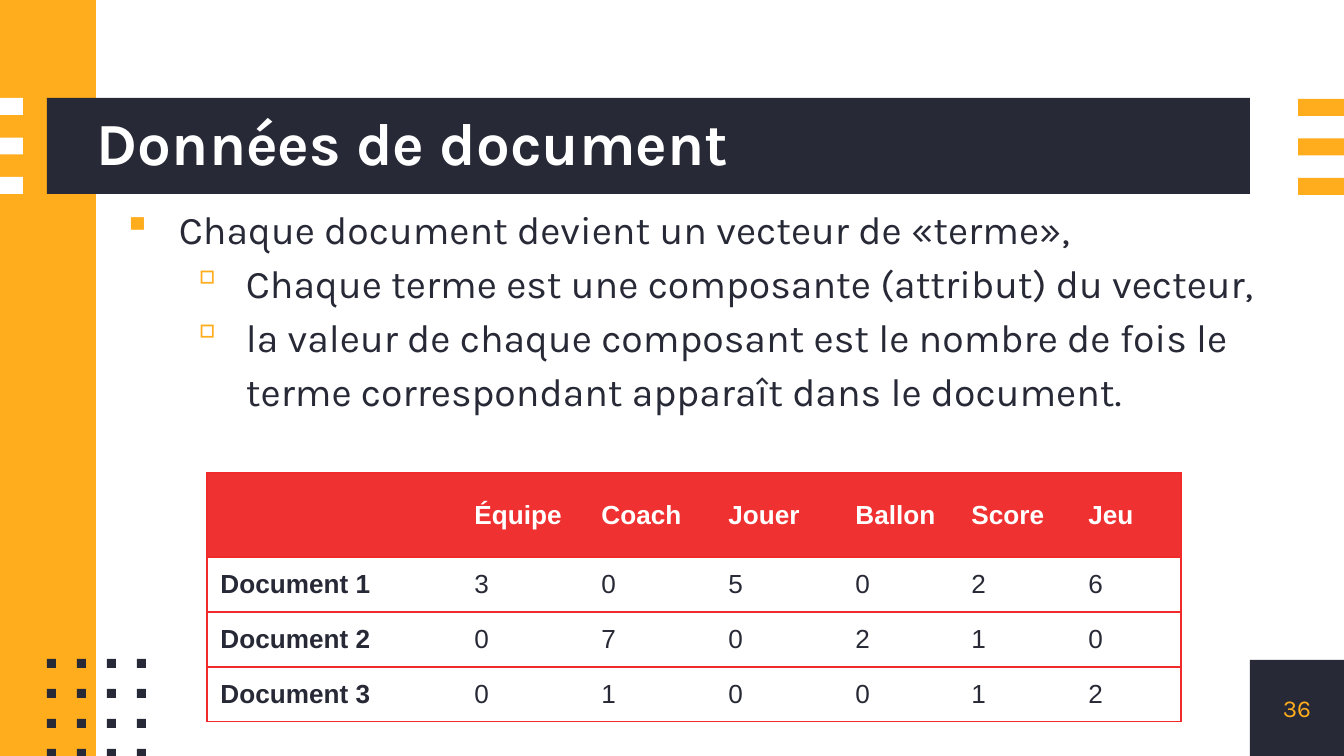
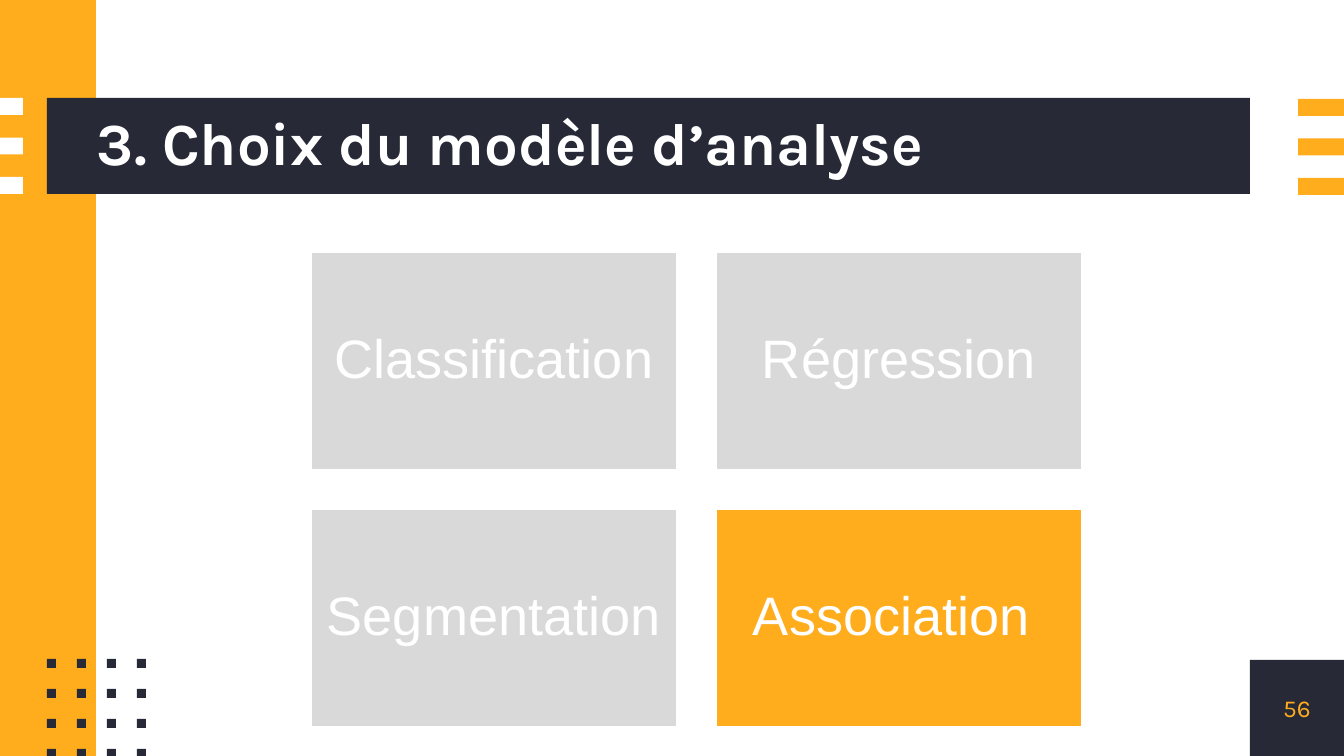
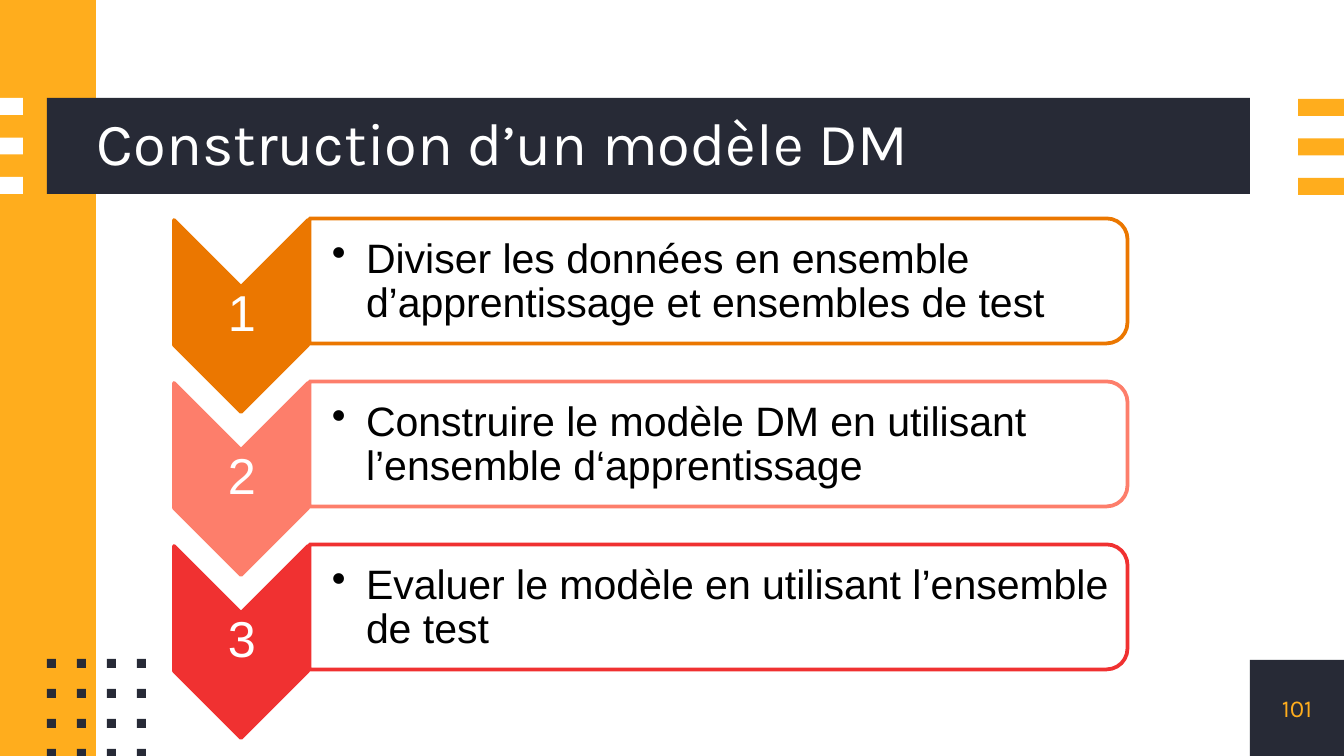
from lxml import etree
from pptx import Presentation
from pptx import util as u
from pptx.dml import color
from pptx.enum import shapes, text
from pptx.oxml import ns

PX = 914400 / 134.4
COLORS = {
    "dark": "272A36", "amber": "FFAD1D", "white": "FFFFFF", "black": "000000",
    "grey": "D9D9D9", "orange": "EB7700", "salmon": "FD7E6B", "red": "F03131",
    "border": "EF2B2B",
}
ALIGN = {"left": text.PP_ALIGN.LEFT, "center": text.PP_ALIGN.CENTER}
RECT = shapes.MSO_SHAPE.RECTANGLE


def px(n):
    return u.Emu(round(n * PX))


def rgb(name):
    return color.RGBColor.from_string(COLORS[name])


def add_xml(parent, tag, **attrs):
    return etree.SubElement(parent, ns.qn(tag), attrs)


def write(tf, content, size, ink, font="Arial", bold=False, align="left",
          spacing=None, middle=True, inset=0, left=None):
    """Fill a text frame; each item is a string or (string, level, bullet,
    bullet colour, left margin, hanging indent)."""
    tf.word_wrap = True
    tf.auto_size = text.MSO_AUTO_SIZE.NONE
    tf.vertical_anchor = text.MSO_ANCHOR.MIDDLE if middle else text.MSO_ANCHOR.TOP
    tf.margin_top = tf.margin_right = tf.margin_bottom = px(inset)
    tf.margin_left = px(inset if left is None else left)
    for i, item in enumerate([content] if isinstance(content, str) else content):
        p = tf.paragraphs[0] if i == 0 else tf.add_paragraph()
        p.alignment = ALIGN[align]
        if spacing:
            p.line_spacing = spacing
        words = item
        if not isinstance(item, str):
            words, p.level, mark, tint, margin, hang = item
            pPr = p._p.get_or_add_pPr()
            pPr.set("marL", str(px(margin)))
            pPr.set("indent", str(px(-hang)))
            add_xml(add_xml(pPr, "a:buClr"), "a:srgbClr", val=COLORS[tint])
            add_xml(pPr, "a:buChar", char=mark)
        r = p.add_run()
        r.text = words
        r.font.size, r.font.name, r.font.bold = u.Pt(size), font, bold
        r.font.color.rgb = rgb(ink)


class Deck:
    def __init__(self):
        self.prs = Presentation()
        self.prs.slide_width, self.prs.slide_height = px(1344), px(756)
        self.s = None

    def slide(self, title, number, bold=True):
        self.s = self.prs.slides.add_slide(self.prs.slide_layouts[5])
        # Side band, title band and page number
        self.shape(0, 0, 96, 756, "amber")
        self.shape(47, 98, 1203, 96, "dark")
        page = self.shape(1250, 660, 94, 96, "dark")
        write(page.text_frame, number, 13, "amber", "Karla", align="center")
        # Stripes and dot grid
        for i in range(3):
            self.shape(0, 98 + 39.5 * i, 23, 17, "white")
            self.shape(1298, 99 + 39.5 * i, 46, 17, "amber")
        for i in range(16):
            self.shape(47 + 30 * (i % 4), 659 + 30 * (i // 4), 9, 9, "dark")
        # Title, brought in front of its band
        sp = self.s.shapes.title
        sp.left, sp.top, sp.width, sp.height = px(97), px(98), px(1153), px(96)
        write(sp.text_frame, title, 32, "white", "Karla", bold, spacing=0.9)
        self.s.shapes._spTree.append(sp._element)

    def shape(self, x, y, w, h, fill, line=None, kind=RECT, rotation=0, alpha=None):
        sp = self.s.shapes.add_shape(kind, px(x), px(y), px(w), px(h))
        sp.shadow.inherit = False
        sp.rotation = rotation
        sp.fill.solid()
        sp.fill.fore_color.rgb = rgb(fill)
        if alpha:
            clr = sp._element.spPr.find(".//" + ns.qn("a:srgbClr"))
            add_xml(clr, "a:alpha", val=str(alpha * 1000))
        if line:
            sp.line.color.rgb = rgb(line)
            sp.line.width = u.Pt(2)
        else:
            sp.line.fill.background()
        return sp

    def text(self, x, y, w, h, content, size, ink, **style):
        sp = self.s.shapes.add_textbox(px(x), px(y), px(w), px(h))
        write(sp.text_frame, content, size, ink, **style)

    def table(self, x, y, widths, heights, rows):
        frame = self.s.shapes.add_table(len(rows), len(widths), px(x), px(y),
                                        px(sum(widths)), px(sum(heights)))
        tbl = frame.table
        tbl.first_row = tbl.horz_banding = False
        for col, w in zip(tbl.columns, widths):
            col.width = px(w)
        for row, h in zip(tbl.rows, heights):
            row.height = px(h)
        for i, row in enumerate(rows):
            for j, value in enumerate(row):
                self.cell(tbl.cell(i, j), value, header=i == 0, first=j == 0,
                          last=j == len(row) - 1)

    def cell(self, cell, value, header, first, last):
        tcPr = cell._tc.get_or_add_tcPr()
        for side, shown in (("L", first), ("R", last), ("T", True), ("B", True)):
            ln = add_xml(tcPr, "a:ln" + side, w=str(u.Pt(0.75)))
            if shown:
                add_xml(add_xml(ln, "a:solidFill"), "a:srgbClr", val=COLORS["border"])
            else:
                add_xml(ln, "a:noFill")
        if header:
            cell.fill.solid()
            cell.fill.fore_color.rgb = rgb("red")
        else:
            cell.fill.background()
        cell.vertical_anchor = text.MSO_ANCHOR.MIDDLE
        if value:
            p = cell.text_frame.paragraphs[0]
            r = p.add_run()
            r.text = value
            r.font.size, r.font.name = u.Pt(14), "Arial"
            r.font.bold = header or first
            r.font.color.rgb = rgb("white" if header else "dark")


def document_data(deck):
    deck.slide("Données de document", "36")
    deck.text(112, 198, 1164, 423, [
        ("Chaque document devient un vecteur de «terme»,", 0, "▪", "amber", 67, 56),
        ("Chaque terme est une composante (attribut) du vecteur,",
         1, "▫", "amber", 134, 56),
        ("la valeur de chaque composant est le nombre de fois le terme "
         "correspondant apparaît dans le document.", 1, "▫", "amber", 134, 56),
    ], 21, "dark", font="Karla", spacing=1.15, middle=False)
    # Term counts
    deck.table(207, 473, [254, 127, 127, 127, 116, 117, 106], [84, 55, 55, 55], [
        ["", "Équipe", "Coach", "Jouer", "Ballon", "Score", "Jeu"],
        ["Document 1", *"305026"],
        ["Document 2", *"070210"],
        ["Document 3", *"010012"],
    ])


def model_choice(deck):
    deck.slide("3. Choix du modèle d’analyse", "56")
    # Two by two cards, the current one highlighted
    cards = [("Classification", "grey"), ("Régression", "grey"),
             ("Segmentation", "grey"), ("Association ", "amber")]
    for i, (label, fill) in enumerate(cards):
        card = deck.shape(310 + 405 * (i % 2), 251 + 257 * (i // 2), 368, 220,
                          fill, line="white")
        write(card.text_frame, label, 29, "white", align="center", spacing=0.9,
              inset=16)


def model_building(deck):
    deck.slide("Construction d’un modèle DM", "101", bold=False)
    steps = [
        ("Diviser les données en ensemble d’apprentissage et ensembles de test",
         "orange"),
        ("Construire le modèle DM en utilisant l’ensemble d‘apprentissage", "salmon"),
        ("Evaluer le modèle en utilisant l’ensemble de test", "red"),
    ]
    for i, (label, tint) in enumerate(steps):
        dy = 163 * i
        # Numbered chevron
        deck.shape(145, 249 + dy, 192, 134, tint, line=tint,
                   kind=shapes.MSO_SHAPE.CHEVRON, rotation=90)
        deck.text(175, 286 + dy, 134, 58, str(i + 1), 27, "white", align="center",
                  spacing=0.9, inset=3)
        # Step description
        deck.shape(656, -128 + dy, 125, 818, "white", line=tint, alpha=90,
                   kind=shapes.MSO_SHAPE.ROUND_2_SAME_RECTANGLE, rotation=90)
        deck.text(309, 226 + dy, 812, 113, [(label, 1, "•", "black", 34, 34)],
                  22, "black", spacing=0.9, inset=3, left=23)


def main():
    deck = Deck()
    document_data(deck)
    model_choice(deck)
    model_building(deck)
    deck.prs.save("out.pptx")


if __name__ == "__main__":
    main()
